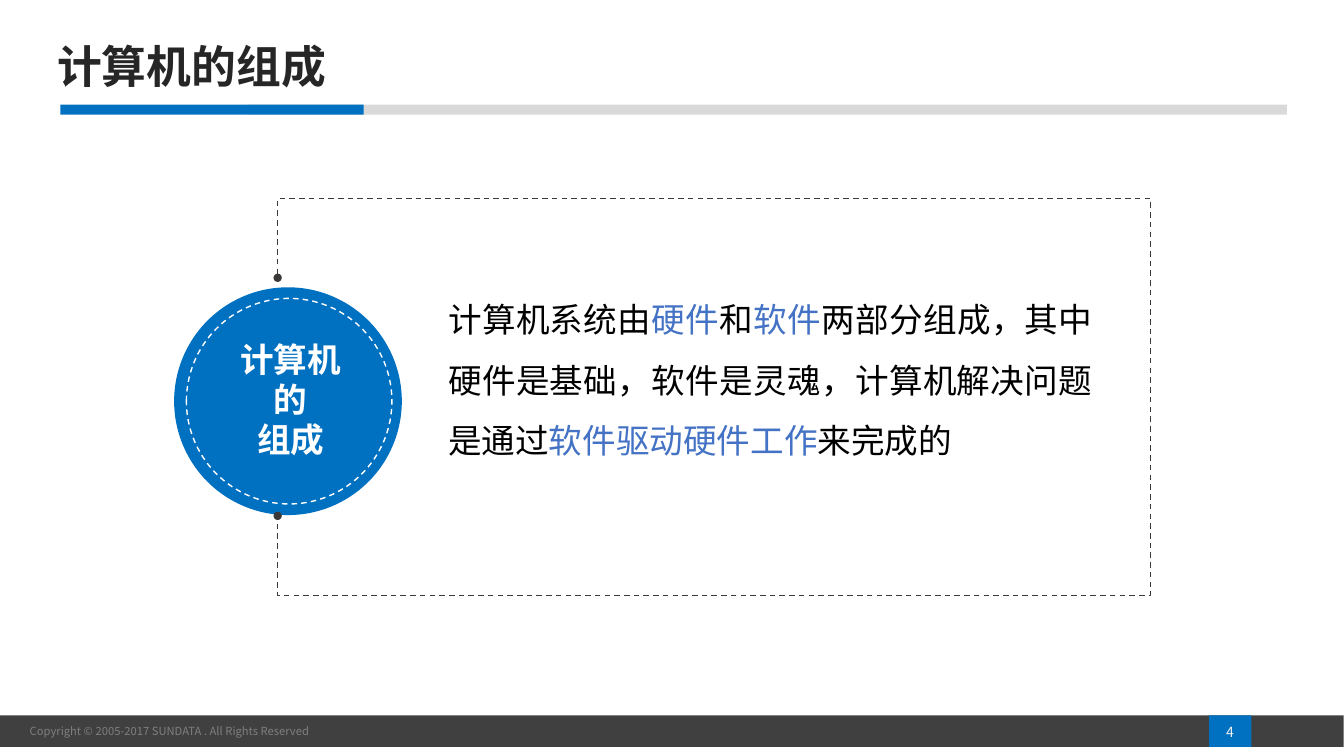
from lxml import etree
from pptx import Presentation
from pptx.dml.color import RGBColor
from pptx.enum.dml import MSO_LINE
from pptx.enum.shapes import MSO_SHAPE as Preset
from pptx.enum.text import MSO_ANCHOR as Anchor, PP_ALIGN as Align
from pptx.oxml.ns import qn
from pptx.util import Cm, Pt

BLUE = RGBColor(0x00, 0x70, 0xC0)
ACCENT = RGBColor(0x44, 0x72, 0xC4)
FOOTER_GRAY = RGBColor(0x40, 0x40, 0x40)
COPYRIGHT_GRAY = RGBColor(0x7F, 0x7F, 0x7F)
BAR_GRAY = RGBColor(0xD9, 0xD9, 0xD9)
TITLE_GRAY = RGBColor(0x26, 0x26, 0x26)
FRAME_GRAY = RGBColor(0x3B, 0x38, 0x38)
NUMBER_GRAY = RGBColor(0xF2, 0xF2, 0xF2)
BLACK = RGBColor(0x00, 0x00, 0x00)
WHITE = RGBColor(0xFF, 0xFF, 0xFF)


class SlideBuilder:
    font_name = "Noto Sans CJK SC"

    def __init__(self, page):
        self.shapes = page.shapes

    def filled(self, preset, left, top, width, height, color):
        shape = self.shapes.add_shape(preset, Cm(left), Cm(top), Cm(width), Cm(height))
        shape.shadow.inherit = False
        shape.fill.solid()
        shape.fill.fore_color.rgb = color
        shape.line.fill.background()
        return shape

    def dash(self, shape, color):
        """Turn a shape into a dashed outline without fill."""
        shape.shadow.inherit = False
        shape.fill.background()
        shape.line.color.rgb = color
        shape.line.width = Pt(1)
        shape.line.dash_style = MSO_LINE.DASH

    def dashed_circle(self, center_x, center_y, size, color):
        circle = self.shapes.add_shape(
            Preset.OVAL, Cm(center_x - size / 2), Cm(center_y - size / 2), Cm(size), Cm(size))
        self.dash(circle, color)

    def dashed_path(self, points, color):
        """Draw an open dashed path with a dot at both ends."""
        start, *rest = points
        builder = self.shapes.build_freeform(*start, scale=Cm(1))
        builder.add_line_segments(rest, close=False)
        path = builder.convert_to_shape()
        self.dash(path, color)
        outline = path.line._get_or_add_ln()
        for end in ("a:headEnd", "a:tailEnd"):
            etree.SubElement(outline, qn(end), type="oval")

    def text(self, left, top, width, height, paragraphs, size, bold=False,
             align=Align.LEFT, anchor=Anchor.MIDDLE, spacing=1.0):
        """Add a text box; each paragraph is a list of (words, color)."""
        box = self.shapes.add_textbox(Cm(left), Cm(top), Cm(width), Cm(height))
        frame = box.text_frame
        frame.word_wrap = True
        frame.vertical_anchor = anchor
        for index, spans in enumerate(paragraphs):
            para = frame.add_paragraph() if index else frame.paragraphs[0]
            para.alignment = align
            para.line_spacing = spacing
            for words, color in spans:
                span = para.add_run()
                span.text = words
                span.font.size = Pt(size)
                span.font.bold = bold
                span.font.color.rgb = color
                span.font.name = self.font_name
                etree.SubElement(span.font._element, qn("a:ea"), typeface=self.font_name)


def main():
    deck = Presentation()
    deck.slide_width, deck.slide_height = Cm(33.88), Cm(19.05)
    slide = SlideBuilder(deck.slides.add_slide(deck.slide_layouts[6]))

    footer_top, footer_height = 18.03, 0.79
    slide.filled(Preset.RECTANGLE, 0, footer_top, 33.87, footer_height, FOOTER_GRAY)
    slide.text(0.5, footer_top, 12, footer_height,
               [[("Copyright © 2005-2017 SUNDATA . All Rights Reserved", COPYRIGHT_GRAY)]], 8)
    slide.filled(Preset.RECTANGLE, 30.48, footer_top, 1.07, footer_height, BLUE)
    slide.text(29.95, 18.19, 2.11, 0.53, [[("4", NUMBER_GRAY)]], 10, align=Align.CENTER)

    bar_top, bar_height = 2.64, 0.25
    slide.filled(Preset.RECTANGLE, 6.25, bar_top, 26.19, bar_height, BAR_GRAY)
    slide.filled(Preset.RECTANGLE, 1.52, bar_top, 7.65, bar_height, BLUE)
    slide.text(1.19, 0.41, 19.38, 2.67, [[("计算机的组成", TITLE_GRAY)]], 32,
               bold=True, spacing=0.9)

    slide.text(11.05, 6.91, 16.74, 4.83, [[
        ("计算机系统由", BLACK), ("硬件", ACCENT), ("和", BLACK), ("软件", ACCENT),
        ("两部分组成，其中硬件是基础，软件是灵魂，计算机解决问题是通过", BLACK),
        ("软件驱动硬件工作", ACCENT), ("来完成的", BLACK),
    ]], 24, align=Align.JUSTIFY, anchor=Anchor.TOP, spacing=1.5)

    slide.filled(Preset.OVAL, 4.39, 7.24, 5.74, 5.74, BLUE)
    slide.text(5.44, 8.41, 3.78, 3.3, [[("计算机的", WHITE)], [("组成", WHITE)]], 24,
               bold=True, align=Align.CENTER, anchor=Anchor.TOP)

    left, top, right, bottom = 7.29, 5.41, 28.91, 14.53
    slide.dashed_path([(left, 7.01), (left, top), (right, top),
                       (right, bottom), (left, bottom), (left, 13.26)], FRAME_GRAY)
    slide.dashed_circle(left, 10.11, 5.18, WHITE)

    deck.save("out.pptx")


if __name__ == "__main__":
    main()
